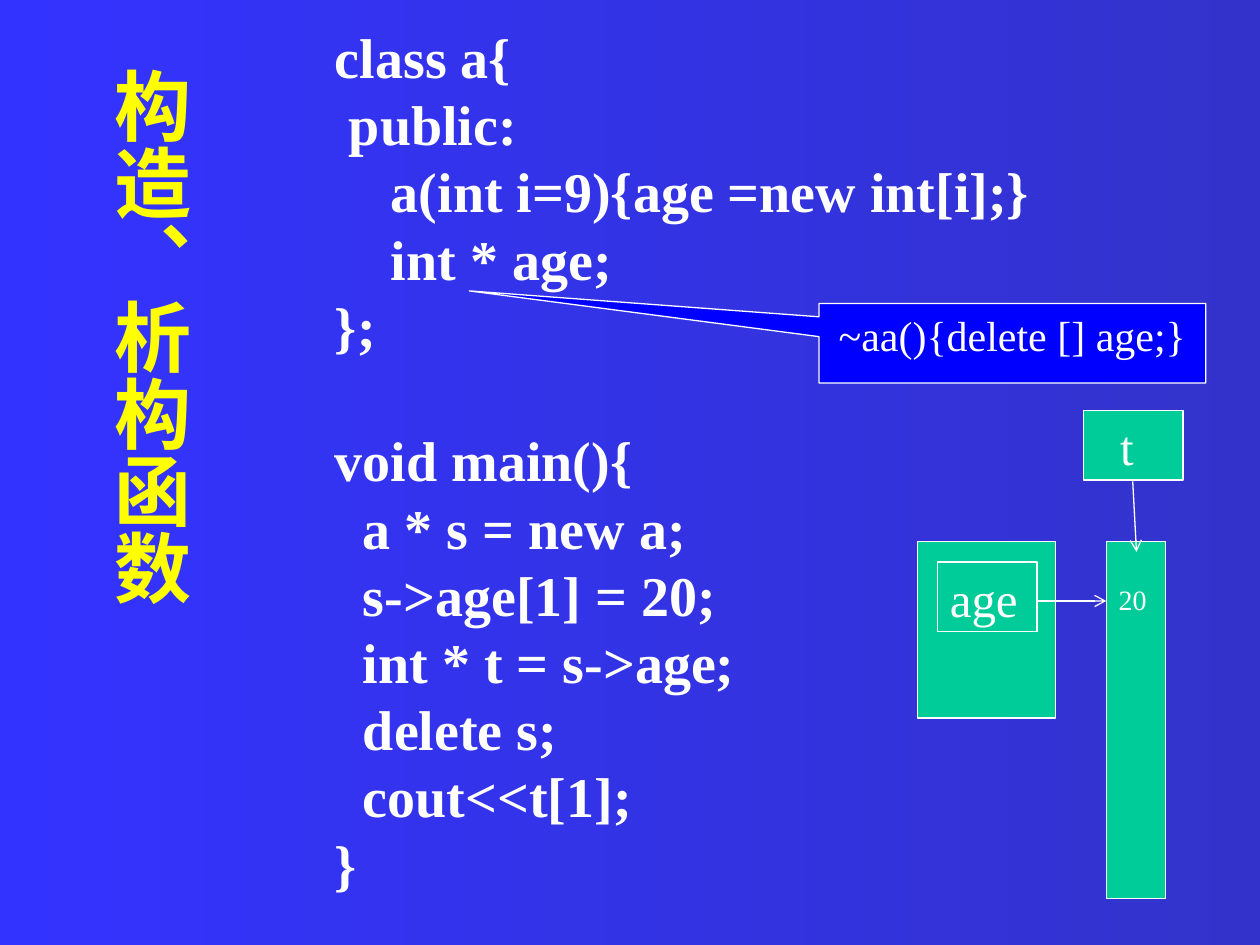
from lxml import etree
from pptx import Presentation
from pptx.dml.color import RGBColor
from pptx.enum.shapes import MSO_CONNECTOR, MSO_SHAPE
from pptx.enum.text import MSO_ANCHOR, PP_ALIGN
from pptx.oxml.ns import qn
from pptx.util import Inches, Pt

RECTANGLE = MSO_SHAPE.RECTANGLE
CALLOUT = MSO_SHAPE.RECTANGULAR_CALLOUT
STRAIGHT = MSO_CONNECTOR.STRAIGHT
TOP = MSO_ANCHOR.TOP
LEFT = PP_ALIGN.LEFT
CENTER = PP_ALIGN.CENTER
FONT = "Times New Roman"
LINE_HEIGHT = 1.2
COLORS = {
    "background_start": "3333FF",
    "background_end": "3333CC",
    "white": "FFFFFF",
    "title": "FFFF00",
    "callout": "0000FF",
    "memory": "00CC99",
}
CLASS_CODE = [
    "class a{",
    " public:",
    "    a(int i=9){age =new int[i];}",
    "    int * age;",
    "};",
]
MAIN_CODE = [
    "void main(){",
    "  a * s = new a;",
    "  s->age[1] = 20;",
    "  int * t = s->age;",
    "  delete s;",
    "  cout<<t[1];",
    "}",
]


def color(name):
    """Return the named colour."""
    return RGBColor.from_string(COLORS[name])


def set_background(slide):
    """Fill the slide with a left-to-right gradient."""
    fill = slide.background.fill
    fill.gradient()
    fill.gradient_angle = 0
    for stop, name in zip(fill.gradient_stops, ("background_start", "background_end")):
        stop.color.rgb = color(name)


def write_lines(shape, lines, size, font_color="white", bold=False, align=LEFT):
    """Write one paragraph per line and return the paragraphs."""
    frame = shape.text_frame
    frame.word_wrap = True
    frame.vertical_anchor = TOP
    frame.text = "\n".join(lines)
    for paragraph in frame.paragraphs:
        paragraph.alignment = align
        paragraph.line_spacing = Pt(size * LINE_HEIGHT)
        paragraph.font.name = FONT
        paragraph.font.size = Pt(size)
        paragraph.font.bold = bold
        paragraph.font.color.rgb = color(font_color)
    return frame.paragraphs


def add_text(slide, box, lines, size, font_color="white"):
    """Add a bold text box."""
    shape = slide.shapes.add_textbox(*map(Inches, box))
    write_lines(shape, lines, size, font_color, bold=True)
    return shape


def add_box(slide, box, fill="memory", kind=RECTANGLE):
    """Add a filled shape with a thin white outline."""
    shape = slide.shapes.add_shape(kind, *map(Inches, box))
    shape.shadow.inherit = False
    shape.fill.solid()
    shape.fill.fore_color.rgb = color(fill)
    shape.line.color.rgb = color("white")
    shape.line.width = Pt(0.75)
    return shape


def add_arrow(slide, start, end):
    """Add a thin white pointer arrow."""
    connector = slide.shapes.add_connector(STRAIGHT, *map(Inches, start + end))
    connector.line.color.rgb = color("white")
    connector.line.width = Pt(0.75)
    etree.SubElement(connector.line._get_or_add_ln(), qn("a:tailEnd"), type="arrow")
    etree.SubElement(connector._element.spPr, qn("a:effectLst"))


def add_code(slide):
    """Add the program listing with a one-line gap before main."""
    code = add_text(slide, (2.56, 0.13, 7.09, 7.1), CLASS_CODE + MAIN_CODE, 32)
    main_paragraph = code.text_frame.paragraphs[len(CLASS_CODE)]
    main_paragraph.space_before = Pt(32 * LINE_HEIGHT)


def add_title(slide):
    """Add the vertical title."""
    title = add_text(slide, (0.68, 0.44, 0.93, 6.14), ["构造、析构函数"], 44, "title")
    title.text_frame._txBody.bodyPr.set("vert", "eaVert")


def add_callout(slide):
    """Add the destructor callout pointing into the class."""
    callout = add_box(slide, (6.5, 2.41, 3.07, 0.63), "callout", CALLOUT)
    callout.adjustments[0] = -1.404
    callout.adjustments[1] = -0.66
    write_lines(callout, ["~aa(){delete [] age;}"], 24, align=CENTER)


def add_memory(slide):
    """Add the object, its array and the pointers to it."""
    add_box(slide, (7.28, 4.3, 1.1, 1.4))
    age = add_box(slide, (7.44, 4.46, 0.79, 0.55))
    write_lines(age, ["age"], 28)
    array = add_box(slide, (8.78, 4.3, 0.47, 2.83))
    array.text_frame.margin_top = Inches(0.32)
    write_lines(array, ["20"], 16)
    add_arrow(slide, (8.23, 4.77), (8.78, 4.77))
    pointer = add_box(slide, (8.6, 3.26, 0.79, 0.55))
    pointer.text_frame.margin_left = Inches(0.29)
    write_lines(pointer, ["t"], 28)
    add_arrow(slide, (8.99, 3.82), (9.02, 4.38))


def main():
    """Build and save the slide."""
    presentation = Presentation()
    presentation.slide_width = Inches(10)
    presentation.slide_height = Inches(7.5)
    slide = presentation.slides.add_slide(presentation.slide_layouts[6])
    set_background(slide)
    add_code(slide)
    add_title(slide)
    add_callout(slide)
    add_memory(slide)
    presentation.save("out.pptx")


if __name__ == "__main__":
    main()
